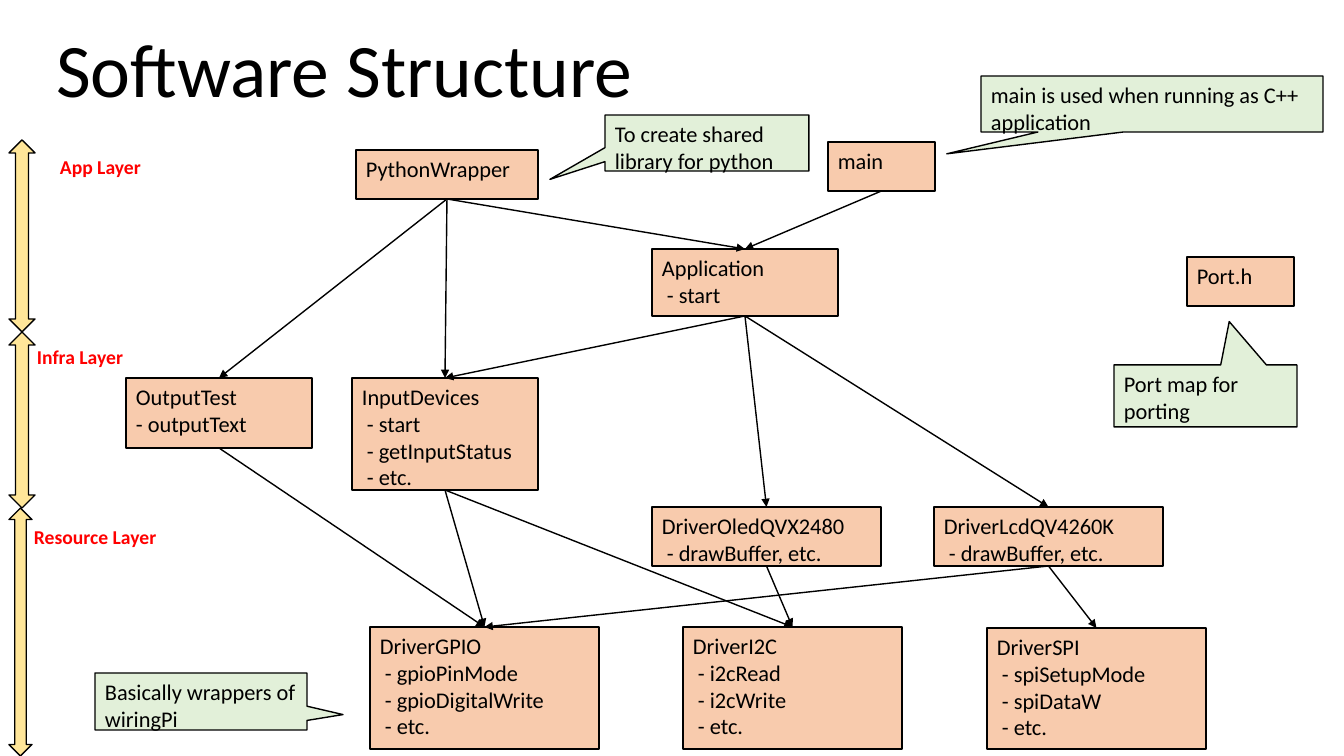
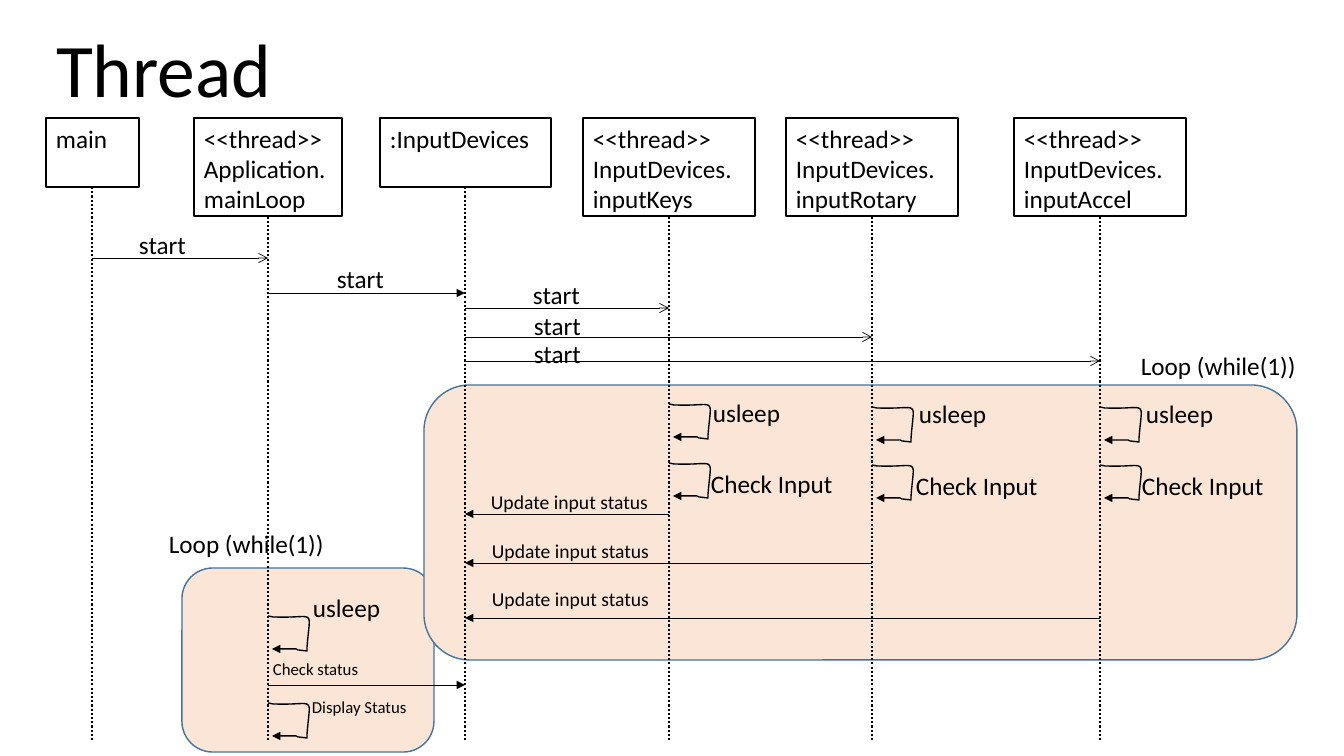
import dataclasses

import pptx
import pptx.dml.color
import pptx.enum.dml
import pptx.enum.shapes
import pptx.enum.text
import pptx.oxml.ns
import pptx.util
from lxml import etree

SHAPE = pptx.enum.shapes.MSO_SHAPE
ANCHOR = pptx.enum.text.MSO_ANCHOR
FIT = pptx.enum.text.MSO_AUTO_SIZE
LEFT = pptx.enum.text.PP_ALIGN.LEFT
DOTTED = pptx.enum.dml.MSO_LINE.ROUND_DOT
EMU_PER_PX = 914400 / 100.8


@dataclasses.dataclass(frozen=True)
class Theme:
    """Colours, font and type sizes of the deck."""
    font: str = "Calibri"
    ink: str = "000000"
    paper: str = "FFFFFF"
    module: str = "F8CBAD"
    callout: str = "E2F0D9"
    layer: str = "FFE699"
    layer_text: str = "FF0000"
    loop: str = "FBE5D6"
    loop_line: str = "43739E"
    title: int = 54
    large: int = 18
    body: int = 16
    small: int = 14
    tiny: int = 12


THEME = Theme()
LABEL_HEIGHT = {THEME.large: 40, THEME.small: 34, THEME.tiny: 30}


def px(*lengths):
    """Turn pixels into EMU."""
    return [pptx.util.Emu(round(n * EMU_PER_PX)) for n in lengths]


def rgb(value):
    """Turn a hex string into a colour."""
    return pptx.dml.color.RGBColor.from_string(value)


def apply(obj, **fmt):
    """Set each format value on an object."""
    for name, value in fmt.items():
        setattr(obj, name, value)


def set_text(sp, text, size, color=THEME.ink, bold=False, spacing=None, **frame):
    """Write left-aligned paragraphs and format their runs."""
    tf = sp.text_frame
    tf.text = text
    apply(tf, **frame)
    for p in tf.paragraphs:
        apply(p, alignment=LEFT, line_spacing=spacing)
        for r in p.runs:
            apply(r.font, name=THEME.font, size=pptx.util.Pt(size), bold=bold)
            r.font.color.rgb = rgb(color)


def set_line(obj, width, color=THEME.ink, dash=None, tail=None):
    """Format an outline, with an optional dash and arrowhead."""
    obj.line.color.rgb = rgb(color)
    apply(obj.line, width=pptx.util.Pt(width), dash_style=dash)
    if tail:
        ln = obj.line._get_or_add_ln()
        etree.SubElement(ln, pptx.oxml.ns.qn("a:tailEnd"), type=tail)


def add_title(prs, text):
    """Add a title-only slide with its title set."""
    s = prs.slides.add_slide(prs.slide_layouts[5])
    sp = s.shapes.title
    left, top, width, height = px(46, 26, 1159, 93)
    apply(sp, left=left, top=top, width=width, height=height)
    set_text(sp, text, THEME.title, spacing=0.9, word_wrap=True,
             vertical_anchor=ANCHOR.BOTTOM, auto_size=FIT.NONE)
    return s


def add_box(s, at, fill, text="", size=THEME.body, kind=SHAPE.RECTANGLE,
            line=THEME.ink, adj=()):
    """Add a filled preset shape with text at its top left."""
    sp = s.shapes.add_shape(kind, *px(*at))
    sp.shadow.inherit = False
    sp.fill.solid()
    sp.fill.fore_color.rgb = rgb(fill)
    set_line(sp, 1, line)
    for i, value in enumerate(adj):
        sp.adjustments[i] = value
    if text:
        set_text(sp, text, size, word_wrap=True, vertical_anchor=ANCHOR.TOP)
    return sp


def add_label(s, x, y, width, text, size=THEME.large, **fmt):
    """Add a one-line text box."""
    sp = s.shapes.add_textbox(*px(x, y, width, LABEL_HEIGHT[size]))
    set_text(sp, text, size, word_wrap=False, auto_size=FIT.SHAPE_TO_FIT_TEXT, **fmt)


def add_line(s, start, end, width=1, **fmt):
    """Add a straight connector."""
    sp = s.shapes.add_connector(pptx.enum.shapes.MSO_CONNECTOR.STRAIGHT,
                                *px(*start, *end))
    set_line(sp, width, **fmt)
    etree.SubElement(sp._element.spPr, pptx.oxml.ns.qn("a:effectLst"))
    return sp


def add_self_call(s, x, y):
    """Add a rounded arrow that returns to its lifeline."""
    bend = [(5, 1), (49, 3), (42, -10), (39, 32)]
    steps = 16
    points = []
    for i in range(steps + 1):
        t = i / steps
        weights = [(1 - t) ** 3, 3 * t * (1 - t) ** 2, 3 * t * t * (1 - t), t ** 3]
        points.append([sum(w * c for w, c in zip(weights, axis)) for axis in zip(*bend)])
    points += [(39, 35), (30, 34), (28, 33), (4, 33)]
    builder = s.shapes.build_freeform(*px(x, y), scale=1.0)
    builder.add_line_segments([px(x + dx, y + dy) for dx, dy in points], close=False)
    sp = builder.convert_to_shape()
    sp.shadow.inherit = False
    sp.fill.background()
    set_line(sp, 1, tail="triangle")


def build_structure(prs):
    """Build the module diagram."""
    s = add_title(prs, "Software Structure")
    modules = {
        "gpio": ((370, 627, 229, 122),
                 "DriverGPIO\n - gpioPinMode\n - gpioDigitalWrite\n - etc."),
        "i2c": ((683, 627, 219, 122), "DriverI2C\n - i2cRead\n - i2cWrite\n - etc."),
        "spi": ((987, 628, 219, 121), "DriverSPI\n - spiSetupMode\n - spiDataW\n - etc."),
        "lcd": ((934, 507, 229, 59), "DriverLcdQV4260K\n - drawBuffer, etc."),
        "oled": ((652, 507, 229, 59), "DriverOledQVX2480\n - drawBuffer, etc."),
        "input": ((352, 378, 186, 112),
                  "InputDevices\n - start\n - getInputStatus\n - etc."),
        "output": ((126, 378, 186, 70), "OutputTest\n- outputText"),
        "app": ((652, 249, 186, 67), "Application\n - start"),
        "main": ((828, 142, 107, 49), "main"),
        "python": ((356, 150, 182, 49), "PythonWrapper"),
        "port": ((1187, 257, 107, 49), "Port.h"),
    }
    boxes = {key: add_box(s, at, THEME.module, text)
             for key, (at, text) in modules.items()}
    uses = {
        "main": ["app"],
        "app": ["oled", "lcd", "input"],
        "lcd": ["spi", "gpio"],
        "oled": ["i2c"],
        "input": ["i2c", "gpio"],
        "output": ["gpio"],
        "python": ["output", "app", "input"],
    }
    for user, targets in uses.items():
        for target in targets:
            sp = add_line(s, (0, 0), (1, 1), tail="triangle")
            sp.begin_connect(boxes[user], 2)
            sp.end_connect(boxes[target], 0)
    layers = [
        ((9, 508, 23, 248), (24, 520, 143), "Resource Layer"),
        ((9, 332, 26, 176), (27, 340, 107), "Infra Layer"),
        ((9, 140, 26, 192), (50, 150, 102), "App Layer"),
    ]
    for arrow, label, name in layers:
        add_box(s, arrow, THEME.layer, kind=SHAPE.UP_DOWN_ARROW)
        add_label(s, *label, name, THEME.small, color=THEME.layer_text, bold=True)
    callouts = [
        ((981, 76, 342, 56), (-0.6, 0.89), "main is used when running as C++ application"),
        ((605, 115, 204, 56), (-0.77, 0.65), "To create shared library for python"),
        ((95, 673, 212, 57), (0.67, 0.23), "Basically wrappers of wiringPi"),
        ((1114, 365, 183, 62), (0.13, -1.2), "Port map for porting"),
    ]
    for at, adj, text in callouts:
        add_box(s, at, THEME.callout, text, kind=SHAPE.RECTANGULAR_CALLOUT, adj=adj)


def build_thread(prs):
    """Build the sequence diagram."""
    s = add_title(prs, "Thread")
    for at in [(182, 568, 252, 184), (424, 385, 873, 275)]:
        add_box(s, at, THEME.loop, kind=SHAPE.ROUNDED_RECTANGLE, line=THEME.loop_line)

    actors = {
        "main": (46, 93, 69, "main"),
        "app": (194, 148, 98, "<<thread>>\nApplication.\nmainLoop"),
        "input": (380, 171, 69, ":InputDevices"),
        "keys": (583, 172, 98, "<<thread>>\nInputDevices.\ninputKeys"),
        "rotary": (786, 172, 98, "<<thread>>\nInputDevices.\ninputRotary"),
        "accel": (1014, 172, 98, "<<thread>>\nInputDevices.\ninputAccel"),
    }
    axis = {}
    for key, (x, width, height, text) in actors.items():
        axis[key] = x + width // 2
        add_line(s, (axis[key], 187), (axis[key], 742), 1.5, dash=DOTTED)
        add_box(s, (x, 118, width, height), THEME.paper, text, THEME.large)

    start = ("start", 68, THEME.large)
    update = ("Update input status", 179, THEME.small)
    status = ("Check status", 107, THEME.tiny)
    messages = [
        ("main", "app", 258, "arrow", start, 129, 224),
        ("app", "input", 293, "triangle", start, 327, 258),
        ("input", "keys", 308, "arrow", start, 523, 274),
        ("input", "rotary", 337, "arrow", start, 524, 305),
        ("input", "accel", 361, "arrow", start, 524, 333),
        ("keys", "input", 514, "triangle", update, 481, 485),
        ("rotary", "input", 563, "triangle", update, 482, 534),
        ("accel", "input", 618, "triangle", update, 482, 582),
        ("app", "input", 685, "triangle", status, 263, 654),
    ]
    for source, target, y, tail, (text, width, size), x, top in messages:
        add_line(s, (axis[source], y), (axis[target], y), 0.5, tail=tail)
        add_label(s, x, top, width, text, size)

    sleep = ("usleep", 89, THEME.large)
    check = ("Check Input", 143, THEME.large)
    display = ("Display Status", 116, THEME.tiny)
    self_calls = [
        ("keys", 404, sleep, 703, 392),
        ("keys", 463, check, 701, 463),
        ("rotary", 407, sleep, 909, 393),
        ("rotary", 465, check, 906, 465),
        ("accel", 407, sleep, 1136, 393),
        ("accel", 465, check, 1132, 465),
        ("app", 616, sleep, 303, 587),
        ("app", 703, display, 302, 692),
    ]
    for actor, y, (text, width, size), x, top in self_calls:
        add_self_call(s, axis[actor], y)
        add_label(s, x, top, width, text, size)
    for x, y in [(159, 523), (1131, 345)]:
        add_label(s, x, y, 177, "Loop (while(1))")


def main():
    """Build and save the deck."""
    prs = pptx.Presentation()
    prs.slide_width, prs.slide_height = px(1344, 756)
    build_structure(prs)
    build_thread(prs)
    prs.save("out.pptx")


main()
